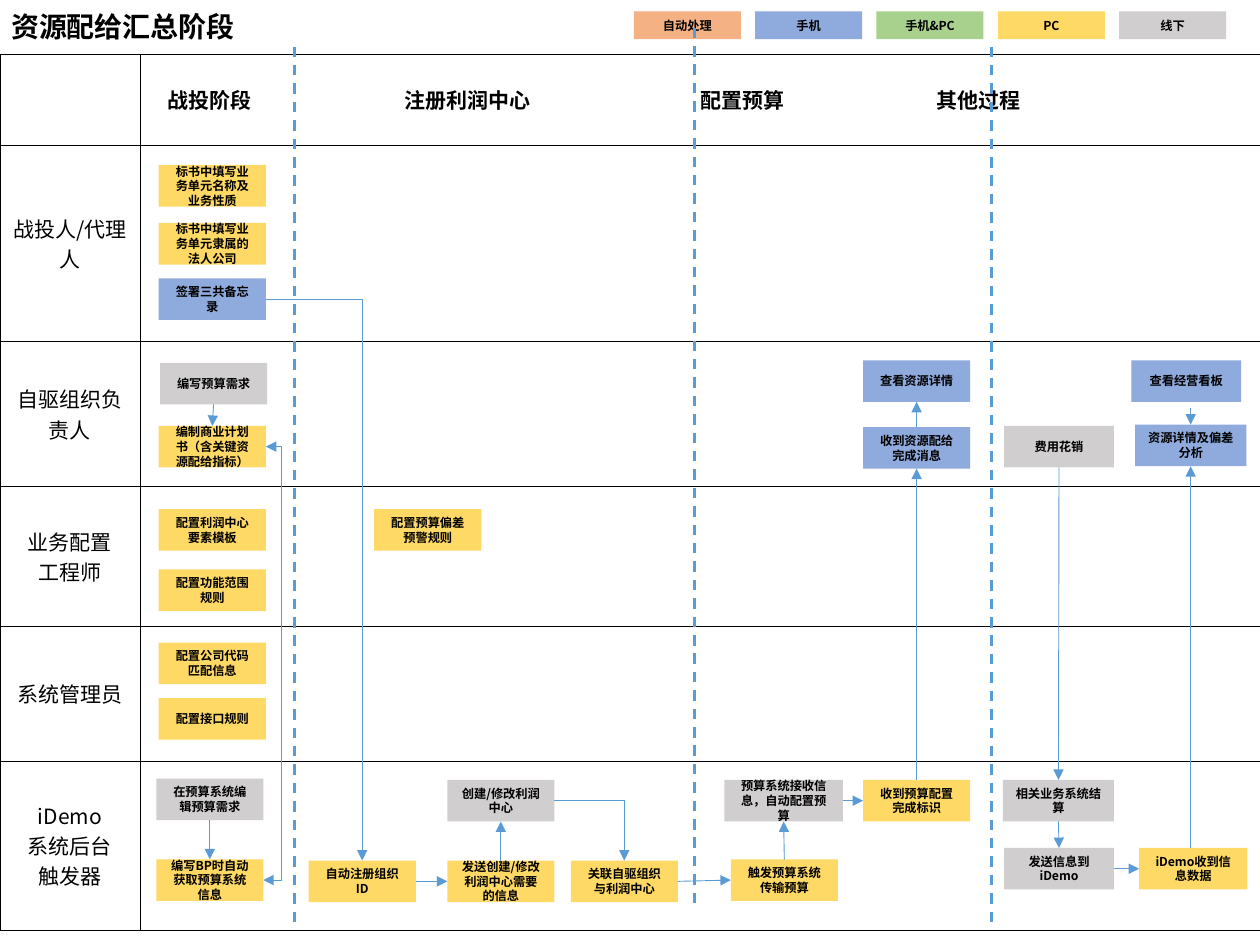
from dataclasses import dataclass
from itertools import accumulate

from lxml.etree import SubElement
from pptx import Presentation
from pptx.dml.color import RGBColor
from pptx.enum.dml import MSO_LINE
from pptx.enum.shapes import MSO_CONNECTOR as Connector, MSO_SHAPE as Shape
from pptx.enum.text import MSO_ANCHOR as Anchor, PP_ALIGN as Align
from pptx.oxml.ns import qn
from pptx.util import Inches, Pt


@dataclass(frozen=True)
class Theme:
    font: str = "Noto Sans CJK SC"
    ink: str = "000000"
    line: str = "5B9BD5"
    auto: str = "F4B183"
    phone: str = "8FAADC"
    both: str = "A9D18E"
    pc: str = "FFD966"
    offline: str = "D0CECE"
    title: int = 16
    heading: int = 12
    label: int = 7


@dataclass(frozen=True)
class Box:
    left: float
    top: float
    width: float
    height: float

    def inner(self, column, row, width, height):
        return Box(self.left + column, self.top + row, width, height)

    def emu(self):
        return [grid(n) for n in (self.left, self.top, self.width, self.height)]


def grid(units):
    """The slide is a grid of 100 columns by 75 rows."""
    return Inches(units / 10)


THEME = Theme()
PAGE = Box(0, 0, 100, 75)
NODE_HEIGHT = 3.3
TOP, LEFT, BOTTOM, RIGHT = range(4)
LABEL_COLUMN = 11.1
LANE_ROWS = [7.2, 15.6, 11.5, 11.1, 10.7, 13.4]
LANE_LABELS = ["", "战投人/代理人", "自驱组织负责人", "业务配置\n工程师",
               "系统管理员", "iDemo\n系统后台\n触发器"]
STAGES = ["战投阶段", "注册利润中心", "配置预算", "其他过程"]
STAGE_TABS = [18.8, 42.3, 61]
LEGEND = [("自动处理", THEME.auto), ("手机", THEME.phone), ("手机&PC", THEME.both),
          ("PC", THEME.pc), ("线下", THEME.offline)]
DIVIDERS = [(23.4, 3.7, 73.5), (55.1, 2.2, 72.1), (78.7, 3.7, 73.5)]

# Steps of each lane: name, text, colour, column, row within the lane, width
LANES = {
    1: [("name", "标书中填写业务单元名称及业务性质", THEME.pc, 12.6, 1.6, 8.5),
        ("company", "标书中填写业务单元隶属的法人公司", THEME.pc, 12.6, 6.2, 8.5),
        ("memo", "签署三共备忘录", THEME.phone, 12.6, 10.6, 8.5)],
    2: [("need", "编写预算需求", THEME.offline, 12.7, 1.7, 8.5),
        ("plan", "编制商业计划书（含关键资源配给指标）", THEME.pc, 12.6, 6.7, 8.5),
        ("details", "查看资源详情", THEME.phone, 68.5, 1.5, 8.5),
        ("message", "收到资源配给完成消息", THEME.phone, 68.5, 6.8, 8.5),
        ("spending", "费用花销", THEME.offline, 79.7, 6.7, 8.7),
        ("board", "查看经营看板", THEME.phone, 89.8, 1.5, 8.7),
        ("deviation", "资源详情及偏差分析", THEME.phone, 90.1, 6.6, 8.82)],
    3: [("template", "配置利润中心要素模板", THEME.pc, 12.6, 1.8, 8.5),
        ("scope", "配置功能范围规则", THEME.pc, 12.6, 6.6, 8.5),
        ("warning", "配置预算偏差预警规则", THEME.pc, 29.7, 1.8, 8.5)],
    4: [("code", "配置公司代码匹配信息", THEME.pc, 12.6, 1.3, 8.5),
        ("interface", "配置接口规则", THEME.pc, 12.6, 5.7, 8.5)],
    5: [("edit", "在预算系统编辑预算需求", THEME.offline, 12.4, 1.4, 8.5),
        ("fetch", "编写BP时自动获取预算系统信息", THEME.pc, 12.4, 7.8, 8.5),
        ("register", "自动注册组织ID", THEME.pc, 24.5, 7.9, 8.5),
        ("send", "发送创建/修改利润中心需要的信息", THEME.pc, 35.5, 7.9, 8.5),
        ("create", "创建/修改利润中心", THEME.offline, 35.5, 1.5, 8.5),
        ("relate", "关联自驱组织与利润中心", THEME.pc, 45.3, 7.9, 8.5),
        ("receive", "预算系统接收信息，自动配置预算", THEME.offline, 57.5, 1.5, 9.4),
        ("trigger", "触发预算系统传输预算", THEME.pc, 58, 7.8, 8.5),
        ("done", "收到预算配置完成标识", THEME.pc, 68.5, 1.5, 8.5),
        ("settle", "相关业务系统结算", THEME.offline, 79.6, 1.5, 8.82),
        ("notify", "发送信息到iDemo", THEME.offline, 79.7, 6.9, 8.7),
        ("data", "iDemo收到信息数据", THEME.pc, 90.4, 6.9, 8.6)],
}
STRAIGHT = [("need", BOTTOM, "plan", TOP), ("edit", BOTTOM, "fetch", TOP),
            ("register", RIGHT, "send", LEFT), ("send", TOP, "create", BOTTOM),
            ("relate", RIGHT, "trigger", LEFT), ("trigger", TOP, "receive", BOTTOM),
            ("receive", RIGHT, "done", LEFT), ("done", TOP, "message", BOTTOM),
            ("message", TOP, "details", BOTTOM), ("spending", BOTTOM, "settle", TOP),
            ("settle", BOTTOM, "notify", TOP), ("notify", RIGHT, "data", LEFT)]
CORNERS = [("memo", RIGHT, "register", TOP), ("create", RIGHT, "relate", TOP)]
LOOSE = [(94.5, 67.3, 37), (94.5, 32.4, 33.7)]
PLAN_LOOP_COLUMN = 22.3


def write(frame, text, size, bold=True, align=Align.CENTER, spacing=None):
    frame.word_wrap = True
    frame.vertical_anchor = Anchor.MIDDLE
    for index, line in enumerate(text.split("\n")):
        paragraph = frame.add_paragraph() if index else frame.paragraphs[0]
        paragraph.alignment = align
        if spacing:
            paragraph.line_spacing = spacing
        run = paragraph.add_run()
        run.text = line
        run.font.size, run.font.bold = Pt(size), bold
        run.font.color.rgb = RGBColor.from_string(THEME.ink)
        run.font.name = THEME.font
        SubElement(run._r.get_or_add_rPr(), qn("a:ea"), typeface=THEME.font)


def add_block(slide, box, text, colour):
    shape = slide.shapes.add_shape(Shape.RECTANGLE, *box.emu())
    shape.shadow.inherit = False
    shape.fill.solid()
    shape.fill.fore_color.rgb = RGBColor.from_string(colour)
    shape.line.fill.background()
    write(shape.text_frame, text, THEME.label)
    return shape


def add_line(slide, kind=Connector.STRAIGHT, points=(0, 0, 0, 0), width=0.5, ends=("tailEnd",)):
    line = slide.shapes.add_connector(kind, *map(grid, points))
    line.line.width = Pt(width)
    line.line.color.rgb = RGBColor.from_string(THEME.line)
    for end in ends:
        SubElement(line._element.spPr.find(qn("a:ln")), qn("a:" + end), type="triangle")
    SubElement(line._element.spPr, qn("a:effectLst"))
    return line


def link(slide, nodes, start, start_site, end, end_site, **options):
    line = add_line(slide, **options)
    line.begin_connect(nodes[start], start_site)
    line.end_connect(nodes[end], end_site)
    return line


def style_cell(cell):
    properties = cell._tc.get_or_add_tcPr()
    for side in ("lnL", "lnR", "lnT", "lnB"):
        border = SubElement(properties, qn("a:" + side), w=str(Pt(0.25)))
        SubElement(SubElement(border, qn("a:solidFill")), qn("a:srgbClr"), val=THEME.ink)
    cell.fill.background()


def write_cell(cell, text, **options):
    write(cell.text_frame, text, THEME.heading, **options)
    cell.vertical_anchor = Anchor.MIDDLE


def add_lanes(slide, box):
    table = slide.shapes.add_table(len(LANE_ROWS), 2, *box.emu()).table
    table.first_row = table.horz_banding = False
    for column, width in zip(table.columns, (LABEL_COLUMN, box.width - LABEL_COLUMN)):
        column.width = grid(width)
    for row, height, label in zip(table.rows, LANE_ROWS, LANE_LABELS):
        row.height = grid(height)
        for cell in row.cells:
            style_cell(cell)
        if label:
            write_cell(row.cells[0], label, bold=False)
    # Stage names sit on tab stops
    stages = table.cell(0, 1)
    stages.margin_left = grid(2.2)
    write_cell(stages, "\t".join(STAGES), align=Align.LEFT)
    stops = SubElement(stages.text_frame.paragraphs[0]._p.get_or_add_pPr(), qn("a:tabLst"))
    for stop in STAGE_TABS:
        SubElement(stops, qn("a:tab"), pos=str(grid(stop)), algn="l")


def add_header(slide, box):
    title = slide.shapes.add_textbox(*box.inner(-0.1, 0.3, 20.9, 3.9).emu())
    write(title.text_frame, "资源配给汇总阶段", THEME.title, align=Align.LEFT, spacing=0.9)
    for index, (text, colour) in enumerate(LEGEND):
        add_block(slide, box.inner(50.3 + 9.63 * index, 0.9, 8.5, 2.2), text, colour)


def add_steps(slide, box):
    tops = [0, *accumulate(LANE_ROWS)]
    return {name: add_block(slide, box.inner(column, tops[lane] + row, width, NODE_HEIGHT), text, colour)
            for lane, steps in LANES.items()
            for name, text, colour, column, row, width in steps}


def add_flows(slide, nodes):
    for flow in STRAIGHT:
        link(slide, nodes, *flow)
    for column, start, end in LOOSE:
        add_line(slide, points=(column, start, column, end))
    for flow in CORNERS:
        corner = link(slide, nodes, *flow, kind=Connector.ELBOW)
        corner._element.spPr.find(qn("a:prstGeom")).set("prst", "bentConnector2")
    # Two-way loop between the plan and the budget data
    loop = link(slide, nodes, "plan", RIGHT, "fetch", RIGHT,
                kind=Connector.ELBOW, ends=("headEnd", "tailEnd"))
    bend = (loop.begin_x - grid(PLAN_LOOP_COLUMN)) / (loop.begin_x - loop.end_x)
    guides = loop._element.spPr.find(qn("a:prstGeom")).find(qn("a:avLst"))
    SubElement(guides, qn("a:gd"), name="adj1", fmla=f"val {round(bend * 100000)}")


presentation = Presentation()
presentation.slide_width, presentation.slide_height = grid(PAGE.width), grid(PAGE.height)
slide = presentation.slides.add_slide(presentation.slide_layouts[6])
lanes_box = PAGE.inner(0, 4.3, PAGE.width, sum(LANE_ROWS))
add_lanes(slide, lanes_box)
add_header(slide, PAGE)
for column, top, bottom in DIVIDERS:
    divider = add_line(slide, points=(column, top, column, bottom), width=1.5, ends=())
    divider.line.dash_style = MSO_LINE.DASH
add_flows(slide, add_steps(slide, lanes_box))
presentation.save("out.pptx")
